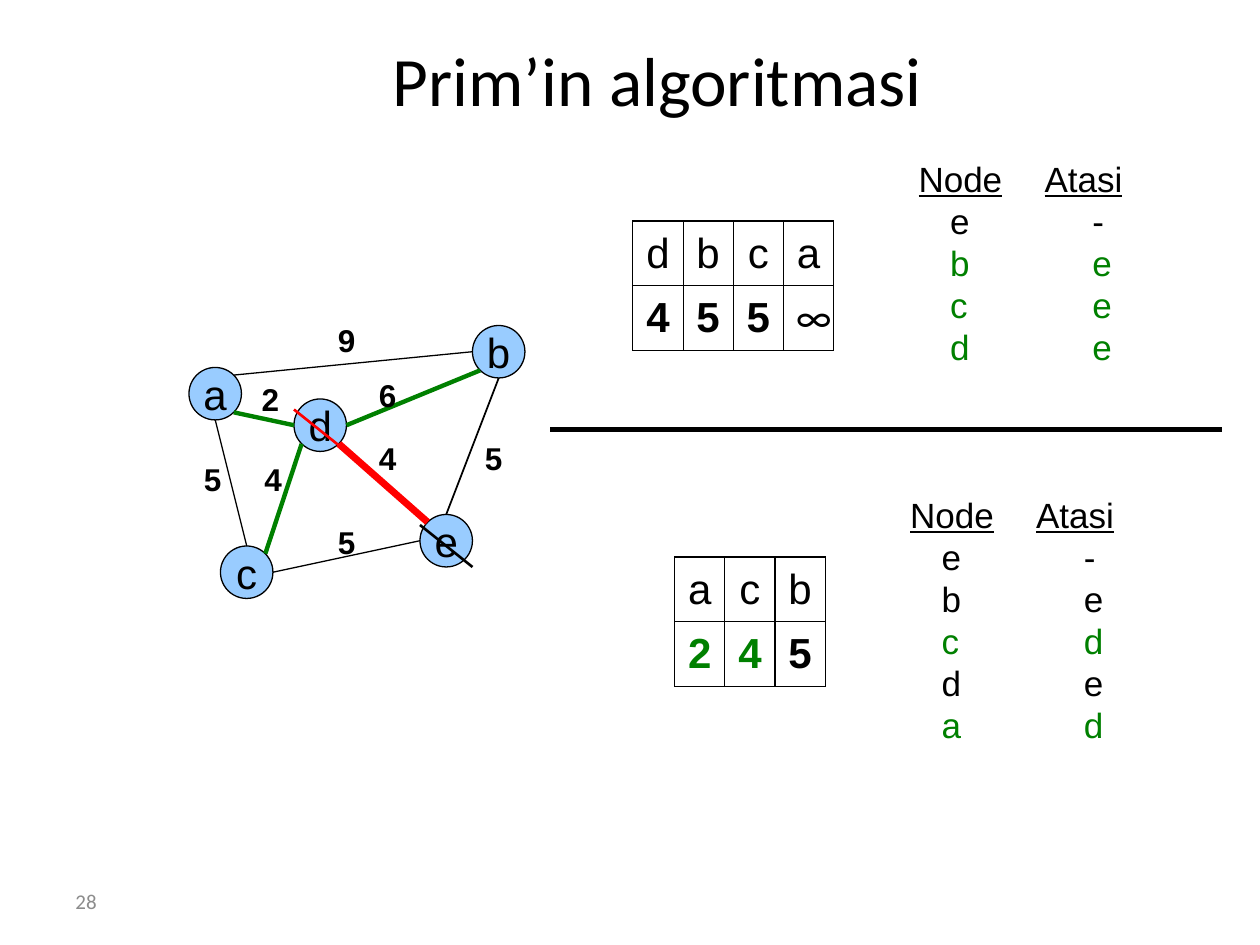
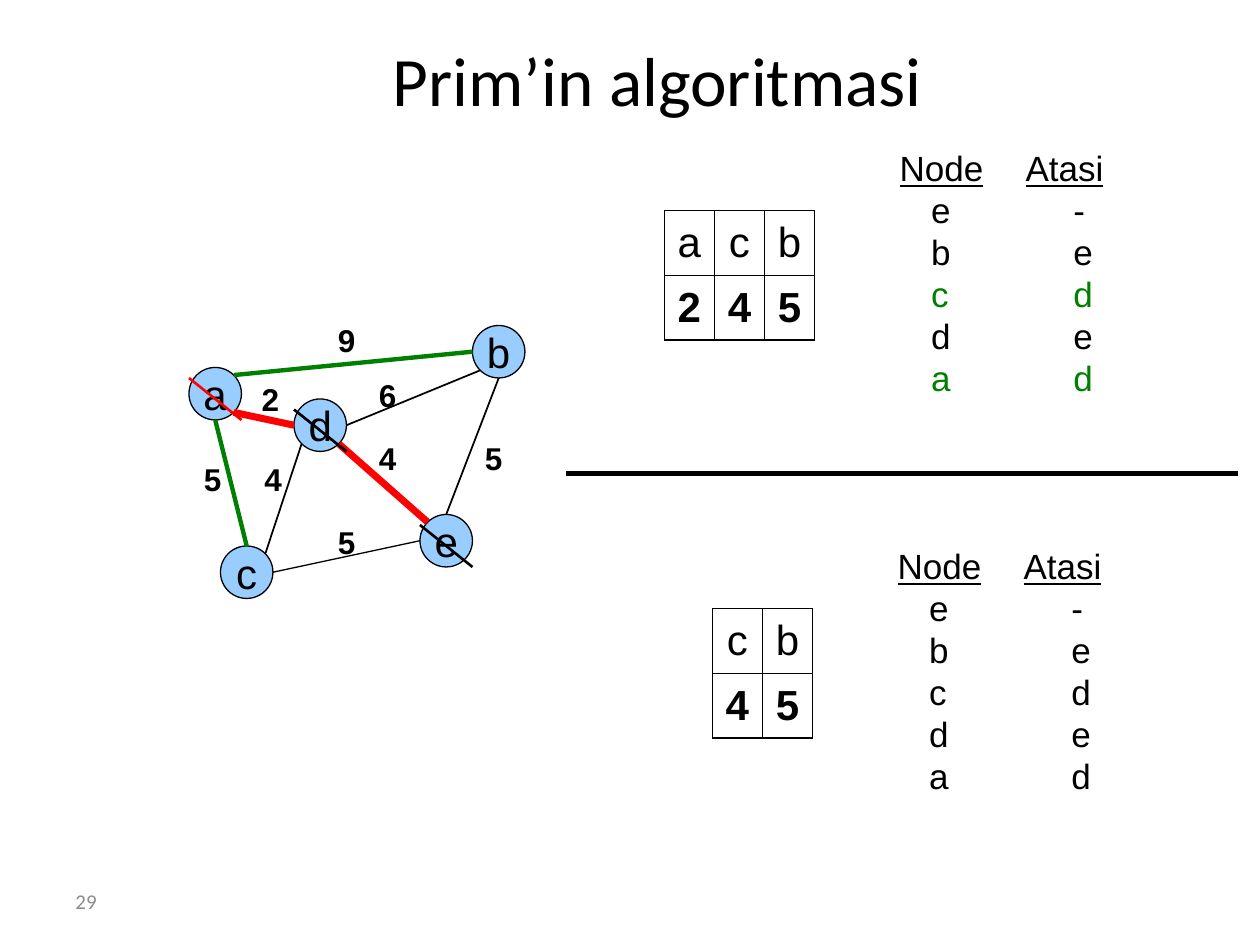
"""Builds two slides that trace Prim's algorithm on a weighted graph."""
from lxml.etree import SubElement
from pptx import Presentation
from pptx.dml.color import RGBColor
from pptx.enum.shapes import MSO_CONNECTOR, MSO_SHAPE
from pptx.enum.text import MSO_ANCHOR, MSO_AUTO_SIZE, PP_ALIGN
from pptx.oxml.ns import qn
from pptx.util import Inches, Pt

STRAIGHT, OVAL = MSO_CONNECTOR.STRAIGHT, MSO_SHAPE.OVAL
MIDDLE, CENTER = MSO_ANCHOR.MIDDLE, PP_ALIGN.CENTER
GROW, FIXED = MSO_AUTO_SIZE.SHAPE_TO_FIT_TEXT, MSO_AUTO_SIZE.NONE

WIDTH, HEIGHT, COLUMNS = Inches(10), Inches(7.5), 120
BLACK, GREEN, RED, BLUE, GRAY = "000000", "008000", "FF0000", "99CCFF", "8C8C8C"
TITLE = "Prim’in algoritmasi"

GRAPH = (18, 31)
NODE = 5
NODES = {"a": (0, 4), "c": (3, 21), "e": (22, 18), "d": (10, 7), "b": (27, 0)}
SITES = {"top": (0, 0, -1), "top left": (1, -0.71, -0.71), "left": (2, -1, 0),
         "bottom left": (3, -0.71, 0.71), "bottom": (4, 0, 1),
         "bottom right": (5, 0.71, 0.71), "right": (6, 1, 0),
         "top right": (7, 0.71, -0.71)}
EDGES = {"ab": ("top right", "left", 0.75), "db": ("right", "bottom left", 1),
         "ac": ("bottom", "top", 0.75), "ad": ("bottom right", "left", 0.75),
         "cd": ("top right", "bottom left", 1),
         "de": ("bottom right", "top left", 1), "be": ("bottom", "top", 1),
         "ec": ("left", "right", 0.75)}
WEIGHTS = [("2", 5.75, 4.65), ("4", 6, 12.2), ("5", 0.25, 12.2), ("9", 13, -1),
           ("6", 16.9, 4.2), ("4", 16.9, 10.2), ("5", 13, 18.2), ("5", 27, 10.2)]
CELL_W, CELL_H = 4.78, 6.17
QUEUE_GAP, QUEUE_DROP = 6.9, 6.65
TABS = (0.25, 1, 1.38)

SLIDES = [
    {"page": "28", "candidates": ["db", "ad", "cd"], "tree": ["de"],
     "strikes": {"e": BLACK, "d": RED}, "divider": (52.4, 40.9),
     "steps": [
         {"at": (86.3, 14.4), "queue": ["d4", "b5", "c5", "a∞"], "changed": "",
          "parents": ["e-", "be", "ce", "de"], "updated": "bcd"},
         {"at": (85.5, 46.4), "queue": ["a2", "c4", "b5"], "changed": "ac",
          "parents": ["e-", "be", "cd", "de", "ad"], "updated": "ca"}]},
    {"page": "29", "candidates": ["ab", "ac"], "tree": ["ad", "de"],
     "strikes": {"e": BLACK, "a": RED, "d": BLACK}, "divider": (53.9, 45.1),
     "steps": [
         {"at": (84.5, 13.4), "queue": ["a2", "c4", "b5"], "changed": "",
          "parents": ["e-", "be", "cd", "de", "ad"], "updated": "ca"},
         {"at": (84.3, 51.3), "queue": ["c4", "b5"], "changed": "",
          "parents": ["e-", "be", "cd", "de", "ad"], "updated": ""}]},
]


def grid(n):
    """Turn a number of grid units into a length."""
    return round(n * WIDTH / COLUMNS)


def rgb(color):
    """Turn a hex string into a colour."""
    return RGBColor.from_string(color)


def write(p, text, size=24, font="Arial", color=BLACK, bold=False,
          underline=False, align=None):
    """Add formatted text to a paragraph."""
    r = p.add_run()
    r.text = text
    r.font.size, r.font.name = Pt(size), font
    r.font.bold, r.font.underline = bold, underline
    r.font.color.rgb = rgb(color)
    p.alignment = align


def text_box(s, x, y, w, h, wrap=False):
    """Add a text box on the grid and return its text frame."""
    tf = s.shapes.add_textbox(grid(x), grid(y), grid(w), grid(h)).text_frame
    tf.word_wrap = wrap
    tf.auto_size = FIXED if wrap else GROW
    return tf


def line(s, start, end, color=BLACK, width=0.75):
    """Draw a straight line between two grid points."""
    c = s.shapes.add_connector(STRAIGHT, *map(grid, (*start, *end)))
    c.line.color.rgb, c.line.width = rgb(color), Pt(width)
    SubElement(c.element.spPr, qn("a:effectLst"))
    return c


def add_title(s):
    """Fill and place the title placeholder."""
    sp = s.shapes.title
    sp.left, sp.top, sp.width, sp.height = map(grid, (5.25, 3, 114.75, 9))
    tf = sp.text_frame
    tf.auto_size, tf.vertical_anchor = FIXED, MIDDLE
    write(tf.paragraphs[0], TITLE, size=39.6, font="Calibri", align=CENTER)


def add_page_number(s, page):
    """Write the page number at the bottom left."""
    tf = text_box(s, 6, 83.4, 28, 4.8, wrap=True)
    tf.vertical_anchor = MIDDLE
    write(tf.paragraphs[0], page, size=12, font="Calibri", color=GRAY)


def add_node(s, name, x, y):
    """Draw one graph node with its letter."""
    sp = s.shapes.add_shape(OVAL, grid(x), grid(y), grid(NODE), grid(NODE))
    sp.shadow.inherit = False
    sp.fill.solid()
    sp.fill.fore_color.rgb = rgb(BLUE)
    sp.line.color.rgb, sp.line.width = rgb(BLACK), Pt(0.75)
    tf = sp.text_frame
    tf.word_wrap, tf.vertical_anchor = False, MIDDLE
    write(tf.paragraphs[0], name, align=CENTER)
    return sp


def add_edge(s, ends, sites, color, width):
    """Join two nodes, given as shape and corner, at the named sites."""
    r = NODE / 2
    points = [(x + r + r * SITES[site][1], y + r + r * SITES[site][2])
              for (_, x, y), site in zip(ends, sites)]
    c = line(s, *points, color, width)
    joints = c.element.nvCxnSpPr.cNvCxnSpPr
    for tag, (sp, _, _), site in zip(("a:stCxn", "a:endCxn"), ends, sites):
        SubElement(joints, qn(tag), id=str(sp.shape_id), idx=str(SITES[site][0]))


def add_graph(s, left, top, candidates, tree, strikes):
    """Draw nodes, edges, weights and strikes from the graph's corner."""
    nodes = {}
    for name, (dx, dy) in NODES.items():
        x, y = left + dx, top + dy
        nodes[name] = (add_node(s, name, x, y), x, y)
    for pair, (start, end, width) in EDGES.items():
        color = BLACK
        if pair in candidates:
            color, width = GREEN, 2.5
        elif pair in tree:
            color, width = RED, 4
        add_edge(s, [nodes[n] for n in pair], (start, end), color, width)
    for weight, dx, dy in WEIGHTS:
        tf = text_box(s, left + dx, top + dy, 4.1, 4.8)
        write(tf.paragraphs[0], weight, size=18, bold=True)
    for name, color in strikes.items():
        _, x, y = nodes[name]
        line(s, (x, y + 1), (x + NODE, y + NODE), color, 1.5)


def format_cell(cell):
    """Give a cell thin black borders and no fill."""
    tc_pr = cell._tc.get_or_add_tcPr()
    for side in ("a:lnL", "a:lnR", "a:lnT", "a:lnB"):
        ln = SubElement(tc_pr, qn(side), w=str(Pt(0.75)))
        SubElement(SubElement(ln, qn("a:solidFill")), qn("a:srgbClr"), val=BLACK)
    cell.fill.background()
    cell.vertical_anchor = MIDDLE


def add_queue(s, right, top, queue, changed):
    """Draw the priority queue as a table that ends at the right edge."""
    w, h = len(queue) * CELL_W, 2 * CELL_H
    table = s.shapes.add_table(2, len(queue), grid(right - w), grid(top),
                               grid(w), grid(h)).table
    table.first_row = table.horz_banding = False
    for i, (name, key) in enumerate(queue):
        endless = key == "∞"
        formats = ({}, {"bold": not endless,
                        "font": "Calibri" if endless else "Arial",
                        "color": GREEN if name in changed else BLACK})
        for j, (text, fmt) in enumerate(zip((name, key), formats)):
            cell = table.cell(j, i)
            format_cell(cell)
            write(cell.text_frame.paragraphs[0], text, align=CENTER, **fmt)


def add_parents(s, left, top, parents, updated):
    """List each node with its parent on shared tab stops."""
    tf = text_box(s, left, top, 22.1, 4.05 * (len(parents) + 1) + 1.2)
    rows = [("Node\tAtasi", {"underline": True})]
    rows += [(f"\t{node}\t\t{parent}",
              {"color": GREEN if node in updated else BLACK})
             for node, parent in parents]
    for i, (text, fmt) in enumerate(rows):
        p = tf.add_paragraph() if i else tf.paragraphs[0]
        tabs = SubElement(p._p.get_or_add_pPr(), qn("a:tabLst"))
        for stop in TABS:
            SubElement(tabs, qn("a:tab"), pos=str(Inches(stop)), algn="l")
        write(p, text, size=20, **fmt)


def add_step(s, at, queue, changed, parents, updated):
    """Place a queue to the left of its parent list."""
    left, top = at
    add_queue(s, left - QUEUE_GAP, top + QUEUE_DROP, queue, changed)
    add_parents(s, left, top, parents, updated)


def add_slide(prs, page, candidates, tree, strikes, divider, steps):
    """Build one slide of the trace."""
    s = prs.slides.add_slide(prs.slide_layouts[5])
    add_title(s)
    add_page_number(s, page)
    add_graph(s, *GRAPH, candidates, tree, strikes)
    x, y = divider
    line(s, (x, y), (x + 64, y), width=3)
    for step in steps:
        add_step(s, **step)


def main():
    """Build and save the presentation."""
    prs = Presentation()
    prs.slide_width, prs.slide_height = WIDTH, HEIGHT
    for content in SLIDES:
        add_slide(prs, **content)
    prs.save("out.pptx")


if __name__ == "__main__":
    main()
